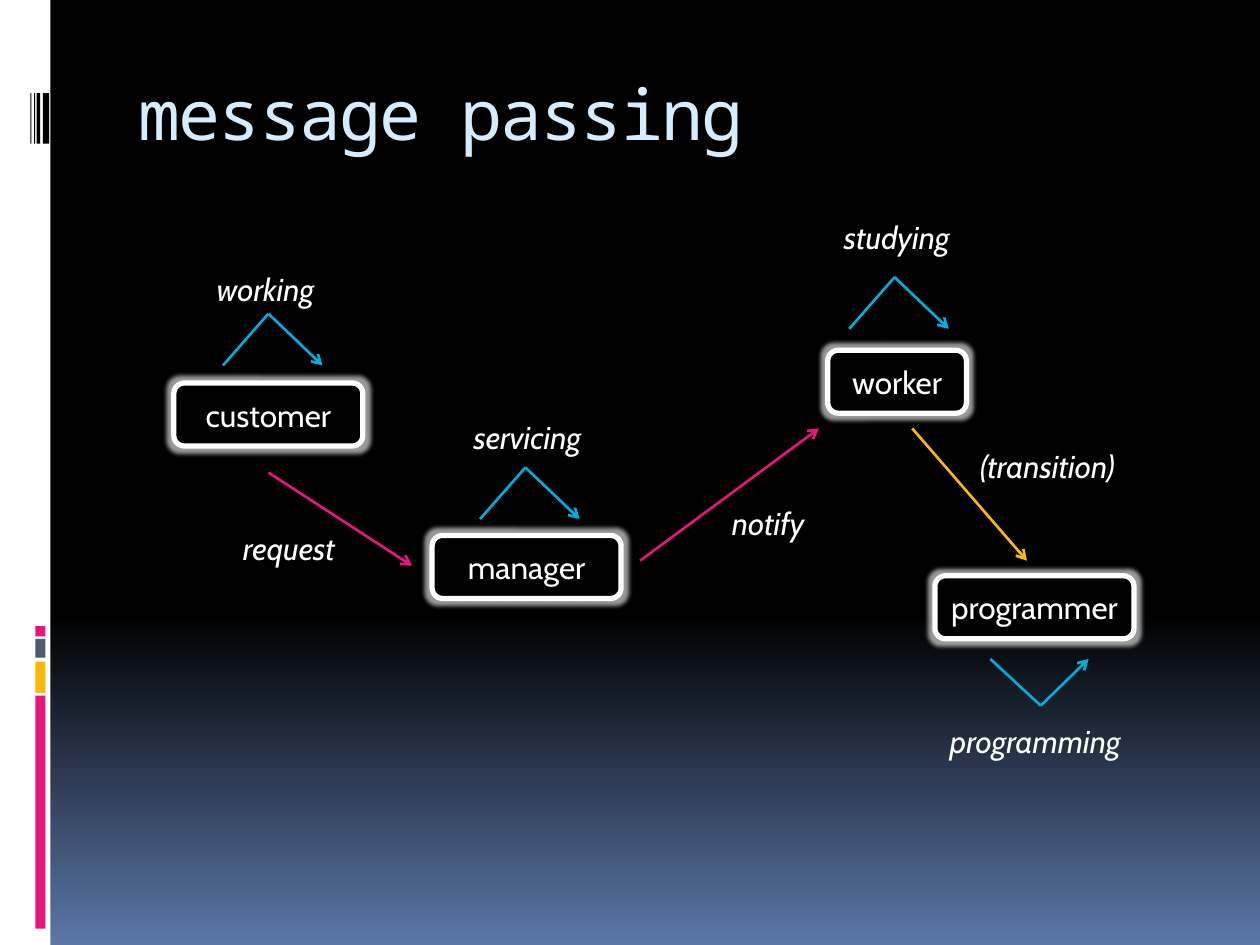
from lxml import etree
from pptx import Presentation
from pptx.dml.color import RGBColor
from pptx.enum.shapes import MSO_CONNECTOR, MSO_SHAPE
from pptx.enum.text import MSO_ANCHOR, MSO_AUTO_SIZE, PP_ALIGN
from pptx.oxml.ns import qn
from pptx.util import Inches, Pt

RECTANGLE = MSO_SHAPE.RECTANGLE
ROUNDED = MSO_SHAPE.ROUNDED_RECTANGLE
STRAIGHT = MSO_CONNECTOR.STRAIGHT
MIDDLE = MSO_ANCHOR.MIDDLE
CENTER = PP_ALIGN.CENTER
FIT_SHAPE = MSO_AUTO_SIZE.SHAPE_TO_FIT_TEXT

BLACK, WHITE, PALE_BLUE = "000000", "FFFFFF", "D6ECFF"
PINK, YELLOW, SLATE = "EA157A", "FEB80A", "4E5B6F"
CYAN, DUSK = "00ADDC", "5B77A8"


def color(value):
    return RGBColor.from_string(value)


def write(frame, text, size=18, font="Cabin", fill=WHITE, italic=False,
          align=None, spacing=None):
    para = frame.paragraphs[0]
    para.alignment = align
    span = para.add_run()
    span.text = text
    span.font.size = Pt(size)
    span.font.name = font
    span.font.italic = italic
    span.font.color.rgb = color(fill)
    if spacing is not None:
        span.font._element.set("spc", str(spacing * 100))


class MessageDiagram:
    def __init__(self, deck):
        self.page = deck.slides.add_slide(deck.slide_layouts[6])

    def background(self, top, bottom, start):
        fill = self.page.background.fill
        fill.gradient()
        fill.gradient_angle = 270
        for stop, place, value in zip(fill.gradient_stops, (start, 1), (top, bottom)):
            stop.position = place
            stop.color.rgb = color(value)

    def shape(self, kind, left, top, width, height, fill):
        shape = self.page.shapes.add_shape(
            kind, Inches(left), Inches(top), Inches(width), Inches(height))
        shape.shadow.inherit = False
        shape.fill.solid()
        shape.fill.fore_color.rgb = color(fill)
        shape.line.fill.background()
        return shape

    def actor(self, text, left, top, width):
        box = self.shape(ROUNDED, left, top, width, 0.5, BLACK)
        box.line.color.rgb = color(WHITE)
        box.line.width = Pt(3)
        # Soft white glow around the outline
        effects = box._element.spPr.find(qn("a:effectLst"))
        glow = etree.SubElement(effects, qn("a:glow"), rad=str(Pt(5)))
        tint = etree.SubElement(glow, qn("a:srgbClr"), val=WHITE)
        etree.SubElement(tint, qn("a:alpha"), val="60000")
        frame = box.text_frame
        frame.word_wrap = False
        frame.vertical_anchor = MIDDLE
        write(frame, text, align=CENTER)

    def title(self, text):
        box = self.page.shapes.add_textbox(
            Inches(1), Inches(0.56), Inches(8.5), Inches(1))
        box.text_frame.word_wrap = True
        box.text_frame.margin_top = 0
        write(box.text_frame, text, size=40, font="Noto Sans Mono",
              fill=PALE_BLUE, spacing=-1)

    def label(self, text, left, top, width):
        box = self.page.shapes.add_textbox(
            Inches(left), Inches(top), Inches(width), Inches(0.4))
        box.text_frame.word_wrap = False
        box.text_frame.auto_size = FIT_SHAPE
        write(box.text_frame, text, italic=True)

    def line(self, start, end, stroke, arrow=True):
        line = self.page.shapes.add_connector(
            STRAIGHT, *(Inches(value) for value in (*start, *end)))
        line.line.color.rgb = color(stroke)
        line.line.width = Pt(1.5)
        if arrow:
            etree.SubElement(line.line._get_or_add_ln(), qn("a:tailEnd"), type="arrow")
        etree.SubElement(line._element.spPr, qn("a:effectLst"))

    def activity(self, x, y, left=-0.36, right=0.43, rise=0.41):
        """Two strokes from a peak: a plain one and one with an arrowhead."""
        self.line((x, y), (x + right, y + rise), CYAN)
        self.line((x, y), (x + left, y + rise), CYAN, arrow=False)


def main():
    deck = Presentation()
    deck.slide_width, deck.slide_height = Inches(10), Inches(7.5)
    diagram = MessageDiagram(deck)
    diagram.background(BLACK, DUSK, start=0.65)

    # Side band with coloured blocks and barcode stripes
    diagram.shape(RECTANGLE, 0, 0, 0.4, 7.5, WHITE)
    for top, height, fill in ((5.52, 1.85, PINK), (5.25, 0.25, YELLOW),
                              (5.07, 0.15, SLATE), (4.97, 0.08, PINK)):
        diagram.shape(RECTANGLE, 0.28, top, 0.08, height, fill)
    for left, width in ((0.34, 0.05), (0.29, 0.03), (0.27, 0.01), (0.24, 0.01)):
        diagram.shape(RECTANGLE, left, 0.74, width, 0.4, BLACK)

    diagram.title("message passing")

    # Actors
    for text, left, top, width in (("manager", 3.43, 4.25, 1.5),
                                   ("worker", 6.57, 2.78, 1.1),
                                   ("customer", 1.38, 3.04, 1.5),
                                   ("programmer", 7.42, 4.57, 1.58)):
        diagram.actor(text, left, top, width)

    # Activities of each actor
    for x, y in ((2.13, 2.49), (4.17, 3.71), (7.1, 2.2)):
        diagram.activity(x, y)
    diagram.activity(8.26, 5.6, left=-0.4, right=0.38, rise=-0.37)

    # Messages and the transition
    diagram.line((2.13, 3.75), (3.27, 4.49), PINK)
    diagram.line((5.08, 4.45), (6.5, 3.4), PINK)
    diagram.line((7.24, 3.4), (8.15, 4.45), YELLOW)

    # Labels
    for text, left, top, width in (("request", 1.83, 4.15, 0.95),
                                   ("notify", 5.71, 3.95, 0.8),
                                   ("working", 1.62, 2.09, 1.01),
                                   ("servicing", 3.66, 3.27, 1.09),
                                   ("studying", 6.6, 1.68, 1.07),
                                   ("programming", 7.44, 5.68, 1.58),
                                   ("(transition)", 7.68, 3.5, 1.32)):
        diagram.label(text, left, top, width)

    deck.save("out.pptx")


if __name__ == "__main__":
    main()
